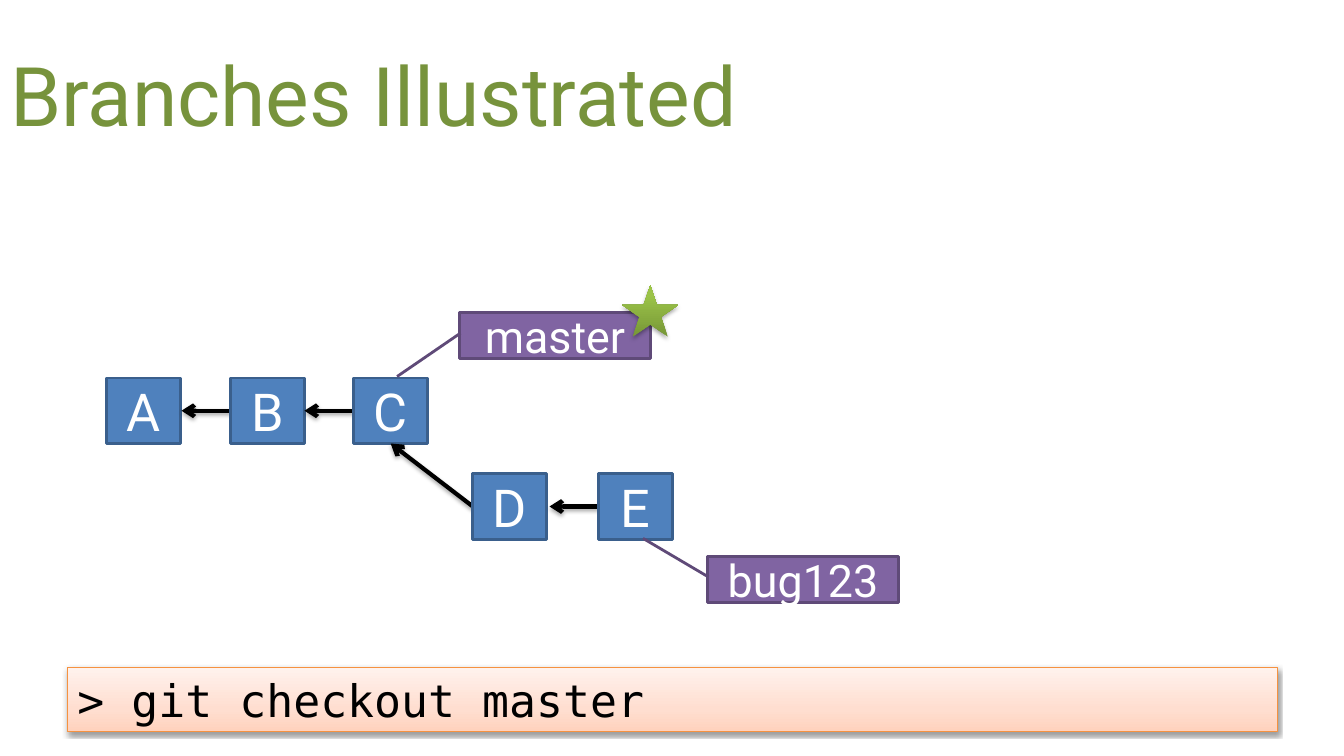
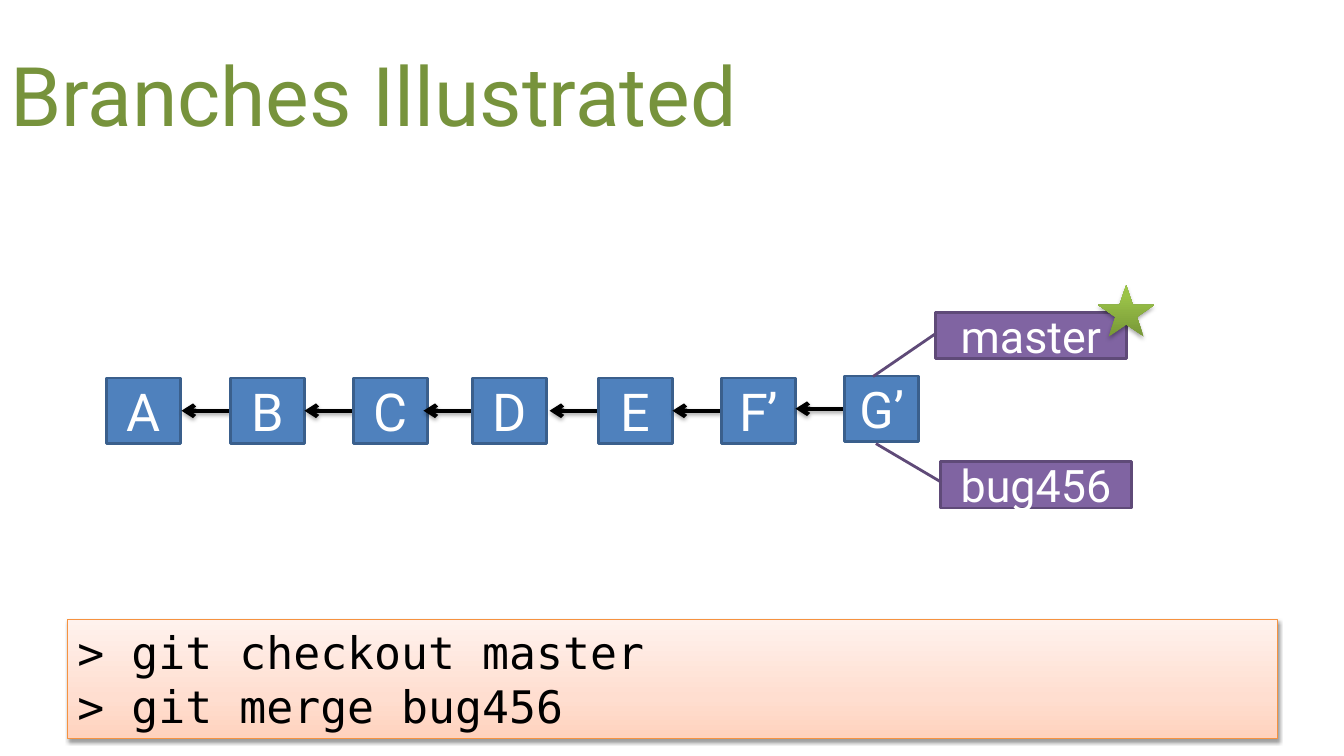
from copy import deepcopy

from lxml import etree
from pptx import Presentation
from pptx.dml.color import RGBColor
from pptx.enum import shapes, text
from pptx.oxml import ns
from pptx.util import Inches, Pt

GREEN = RGBColor(0x77, 0x93, 0x3C)
BLUE = RGBColor(0x4F, 0x81, 0xBD)
BLUE_EDGE = RGBColor(0x3A, 0x5F, 0x8C)
PURPLE = RGBColor(0x80, 0x64, 0xA2)
PURPLE_EDGE = RGBColor(0x5F, 0x4A, 0x78)
ORANGE = RGBColor(0xF6, 0x92, 0x40)
BLACK = RGBColor(0, 0, 0)
WHITE = RGBColor(0xFF, 0xFF, 0xFF)
PEACH_FADE = [
    (0, RGBColor(0xFF, 0xD2, 0xBD)),
    (0.35, RGBColor(0xFF, 0xDE, 0xD0)),
    (1, RGBColor(0xFF, 0xF2, 0xED)),
]
STAR_FADE = [
    (0, RGBColor(0x77, 0x97, 0x37)),
    (0.8, RGBColor(0x9B, 0xC3, 0x48)),
    (1, RGBColor(0x9D, 0xC7, 0x46)),
]

FONT = "Roboto"
CODE_FONT = "DejaVu Sans Mono"
COMMIT_WIDTH, COMMIT_HEIGHT = 0.73, 0.65
ARROW_LENGTH = 0.49
COLUMNS = [1.06, 2.29, 3.51, 4.69, 5.94, 7.16, 8.38]
MAIN_ROW, BRANCH_ROW = 3.75, 4.7
POINT_UP = (0.446, 0.004, -0.389, -0.34)
POINT_DOWN = (0.446, 0.004, 1.383, -0.329)


class BranchDeck:
    """Holds the shared style and the slide being drawn."""

    def __init__(self):
        self.deck = Presentation()
        self.deck.slide_width = Inches(13.33)
        self.deck.slide_height = Inches(7.5)
        self.page = None

    def add_page(self, title):
        self.page = self.deck.slides.add_slide(self.deck.slide_layouts[5])
        box = self.page.shapes.title
        box.left, box.top = Inches(0), Inches(0.3)
        box.width, box.height = Inches(12), Inches(1.25)
        self.set_text(box, [title], 58.7, GREEN, align=text.PP_ALIGN.LEFT)

    def set_text(self, box, lines, size, color, font=FONT,
                 align=text.PP_ALIGN.CENTER, anchor=text.MSO_ANCHOR.MIDDLE):
        frame = box.text_frame
        frame.text = "\n".join(lines)
        frame.word_wrap = True
        frame.auto_size = text.MSO_AUTO_SIZE.NONE
        frame.vertical_anchor = anchor
        for para in frame.paragraphs:
            para.alignment = align
            for span in para.runs:
                span.font.name = font
                span.font.size = Pt(size)
                span.font.color.rgb = color

    def shape(self, kind, left, top, width, height, edge=None, weight=2):
        box = self.page.shapes.add_shape(
            kind, Inches(left), Inches(top), Inches(width), Inches(height))
        box.shadow.inherit = False
        if edge is None:
            box.line.fill.background()
        else:
            box.line.color.rgb = edge
            box.line.width = Pt(weight)
        return box

    def paint(self, box, color):
        box.fill.solid()
        box.fill.fore_color.rgb = color

    def fade(self, box, stops):
        """Fill the box with a three-stop gradient running from bottom to top."""
        box.fill.gradient()
        box.fill.gradient_angle = 90
        stop_list = box._element.spPr.find(".//" + ns.qn("a:gsLst"))
        stop_list.append(deepcopy(stop_list[0]))
        for stop, (position, color) in zip(box.fill.gradient_stops, stops):
            stop.position = position
            stop.color.rgb = color

    def cast_shadow(self, item, opacity=35, distance=1.8):
        properties = item._element.spPr
        effects = properties.find(ns.qn("a:effectLst"))
        if effects is None:
            effects = etree.SubElement(properties, ns.qn("a:effectLst"))
        shadow = etree.SubElement(
            effects, ns.qn("a:outerShdw"), blurRad=str(Pt(3.1)),
            dist=str(Pt(distance)), dir="5400000", rotWithShape="0")
        color = etree.SubElement(shadow, ns.qn("a:srgbClr"), val=str(BLACK))
        etree.SubElement(color, ns.qn("a:alpha"), val=str(opacity * 1000))

    def commit(self, name, left, top, size=37.3):
        box = self.shape(shapes.MSO_SHAPE.RECTANGLE, left, top,
                         COMMIT_WIDTH, COMMIT_HEIGHT, BLUE_EDGE)
        self.paint(box, BLUE)
        self.set_text(box, [name], size, WHITE)

    def parent_arrow(self, left, top, end=None):
        """Point from a commit's left side to its parent, straight unless end is given."""
        middle = top + COMMIT_HEIGHT / 2
        end_x, end_y = end or (left - ARROW_LENGTH, middle)
        arrow = self.page.shapes.add_connector(
            shapes.MSO_CONNECTOR.STRAIGHT, Inches(left), Inches(middle),
            Inches(end_x), Inches(end_y))
        arrow.line.color.rgb = BLACK
        arrow.line.width = Pt(3)
        outline = arrow._element.spPr.find(ns.qn("a:ln"))
        etree.SubElement(outline, ns.qn("a:tailEnd"), type="arrow")
        self.cast_shadow(arrow)

    def history(self, names, columns, top):
        """Draw a row of commits, each but the first pointing to the one before."""
        for index, (name, left) in enumerate(zip(names, columns)):
            if index:
                self.parent_arrow(left, top)
            self.commit(name, left, top)

    def branch_label(self, name, left, top, pointer):
        box = self.shape(shapes.MSO_SHAPE.LINE_CALLOUT_1, left, top,
                         1.89, 0.46, PURPLE_EDGE)
        for index, value in enumerate(pointer):
            box.adjustments[index] = value
        self.paint(box, PURPLE)
        self.set_text(box, [name], 32, WHITE)

    def current_branch(self, name, left, top):
        """Draw a branch label with the star of the checked-out branch."""
        self.branch_label(name, left, top, POINT_DOWN)
        star = self.shape(shapes.MSO_SHAPE.STAR_5_POINT,
                          left + 1.61, top - 0.27, 0.56, 0.51)
        self.fade(star, STAR_FADE)
        self.cast_shadow(star)

    def commands(self, lines, top, height):
        box = self.shape(shapes.MSO_SHAPE.RECTANGLE, 0.67, top, 12, height,
                         ORANGE, 0.75)
        self.fade(box, PEACH_FADE)
        self.cast_shadow(box, opacity=38, distance=1.6)
        self.set_text(box, lines, 32, BLACK, CODE_FONT,
                      text.PP_ALIGN.LEFT, text.MSO_ANCHOR.TOP)
        box.text_frame.auto_size = text.MSO_AUTO_SIZE.SHAPE_TO_FIT_TEXT


def checkout_page(deck):
    deck.add_page("Branches Illustrated")
    deck.history("ABC", COLUMNS, MAIN_ROW)
    fork = (COLUMNS[2] + COMMIT_WIDTH / 2, MAIN_ROW + COMMIT_HEIGHT)
    deck.parent_arrow(COLUMNS[3], BRANCH_ROW, fork)
    deck.history("DE", COLUMNS[3:], BRANCH_ROW)
    deck.current_branch("master", 4.56, 3.1)
    deck.branch_label("bug123", 7.02, 5.52, POINT_UP)
    deck.commands(["> git checkout master"], 6.62, 0.64)


def merge_page(deck):
    deck.add_page("Branches Illustrated")
    deck.history(["A", "B", "C", "D", "E", "F’"], COLUMNS, MAIN_ROW)
    merge_top = MAIN_ROW - 0.02
    deck.parent_arrow(COLUMNS[6], merge_top)
    deck.commit("G’", COLUMNS[6], merge_top, 36)
    deck.current_branch("master", 9.28, 3.1)
    deck.branch_label("bug456", 9.33, 4.58, POINT_UP)
    deck.commands(["> git checkout master", "> git merge bug456"], 6.15, 1.18)


def main():
    branches = BranchDeck()
    checkout_page(branches)
    merge_page(branches)
    branches.deck.save("out.pptx")


if __name__ == "__main__":
    main()
